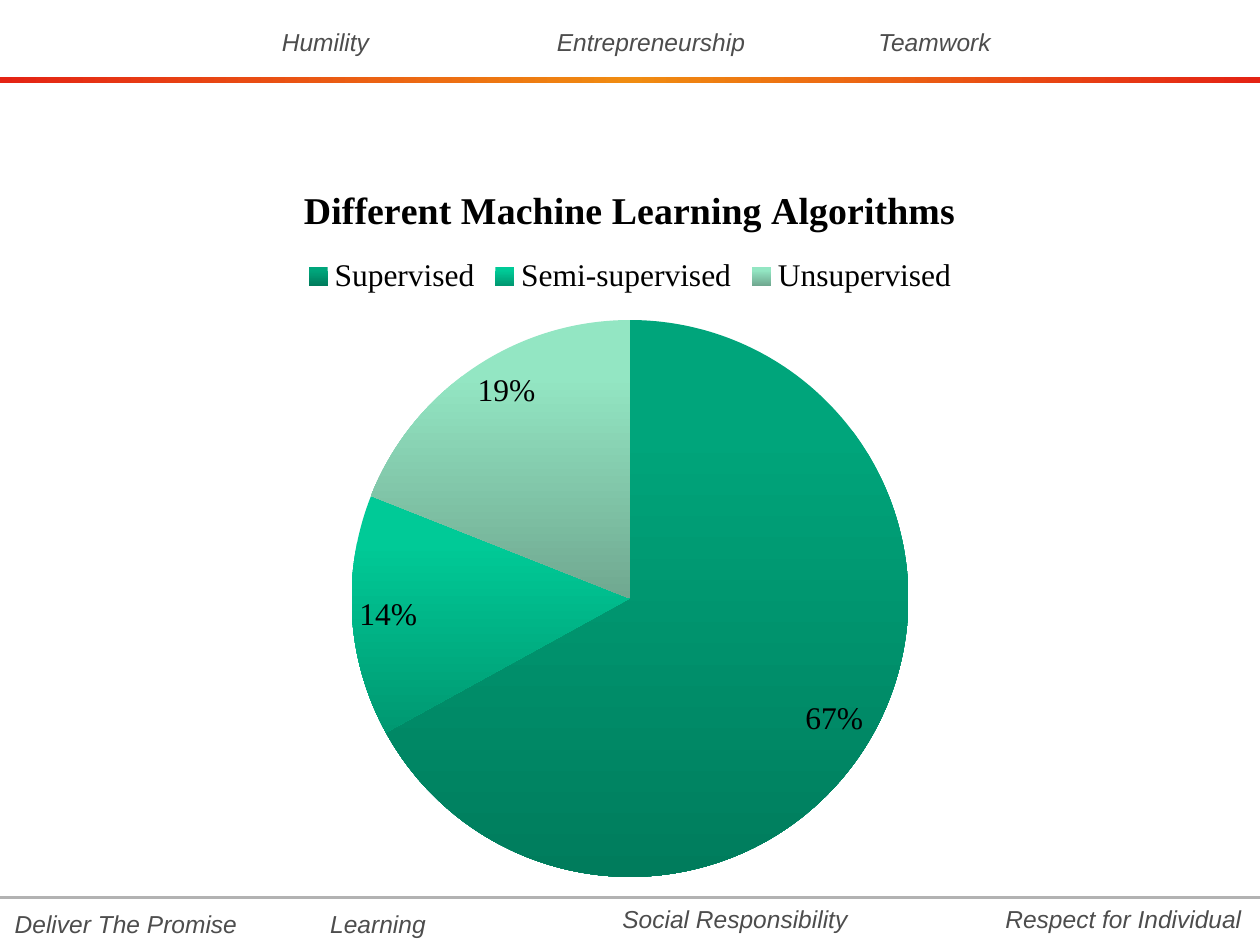
from copy import deepcopy

from lxml import etree
from pptx import Presentation
from pptx import util as u
from pptx.chart import data
from pptx.dml import color
from pptx.enum import chart as ch, shapes, text
from pptx.oxml import ns


def rgb(code):
    return color.RGBColor.from_string(code)


def shade(fill, tones, angle=0):
    fill.gradient()
    fill.gradient_angle = angle
    stops = fill.gradient_stops
    spare = fill._fill._gradFill.gsLst
    for _ in tones[2:]:
        spare.append(deepcopy(spare[-1]))
    for stop, (pos, tone) in zip(fill.gradient_stops, tones):
        stop.position = pos
        stop.color.rgb = rgb(tone)


class Deck:
    """Draws on one slide with a grid of 120 columns by 90 rows."""

    label = {"name": "Arial", "size": u.Pt(14), "italic": True}
    chart = {"name": "Times New Roman", "size": u.Pt(18), "bold": False}
    title = {"name": "Times New Roman", "size": u.Pt(21.6), "bold": True}

    def __init__(self):
        self.prs = Presentation()
        self.prs.slide_width = u.Inches(10)
        self.prs.slide_height = u.Inches(7.5)
        self.slide = self.prs.slides.add_slide(self.prs.slide_layouts[6])
        self.unit = self.prs.slide_width / 120

    def grid(self, *cells):
        return [round(cell * self.unit) for cell in cells]

    def style(self, font, values, tone):
        for key, value in values.items():
            setattr(font, key, value)
        font.color.rgb = rgb(tone)

    def word(self, words, col, row, wide):
        frame = self.slide.shapes.add_textbox(*self.grid(col, row, wide, 4)).text_frame
        frame.word_wrap = True
        frame.auto_size = text.MSO_AUTO_SIZE.SHAPE_TO_FIT_TEXT
        para = frame.paragraphs[0]
        para.alignment = text.PP_ALIGN.CENTER
        run = para.add_run()
        run.text = words
        self.style(run.font, self.label, "4D4D4D")

    def band(self, row, high, tones):
        bar = self.slide.shapes.add_shape(
            shapes.MSO_SHAPE.RECTANGLE, *self.grid(0, row, 120, high))
        bar.shadow.inherit = False
        bar.line.fill.background()
        shade(bar.fill, tones)

    def rule(self, row, tone, width):
        line = self.slide.shapes.add_connector(
            shapes.MSO_CONNECTOR.STRAIGHT, *self.grid(0, row, 120, row))
        line.line.color.rgb = rgb(tone)
        line.line.width = u.Pt(width)
        etree.SubElement(line._element.spPr, ns.qn("a:effectLst"))

    def pie(self, name, parts, box, plot):
        facts = data.ChartData()
        facts.categories = [part[0] for part in parts]
        facts.add_series(name, [part[1] for part in parts])
        pie = self.slide.shapes.add_chart(
            ch.XL_CHART_TYPE.PIE, *self.grid(*box), facts).chart
        self.style(pie.font, self.chart, "000000")
        pie.has_title = True
        pie.chart_title.include_in_layout = False
        run = pie.chart_title.text_frame.paragraphs[0].add_run()
        run.text = name
        self.style(run.font, self.title, "000000")
        pie.has_legend = True
        pie.legend.position = ch.XL_LEGEND_POSITION.TOP
        pie.legend.include_in_layout = False
        disc = pie.plots[0]
        disc.vary_by_categories = True
        disc.has_data_labels = True
        tags = disc.data_labels
        form = {"show_percentage": True, "show_value": False, "number_format": "0%",
                "number_format_is_linked": False,
                "position": ch.XL_LABEL_POSITION.INSIDE_END}
        for key, value in form.items():
            setattr(tags, key, value)
        self.style(tags.font, self.chart, "000000")
        for spot, (_, _, top, low) in enumerate(parts):
            look = disc.series[0].points[spot].format
            shade(look.fill, [(0, top), (0.2, top), (1, low)], 270)
            look.line.fill.background()
        self.place(pie, plot)

    def place(self, pie, plot):
        area = pie._chartSpace.chart.plotArea
        for old in area.findall(ns.qn("c:layout")):
            area.remove(old)
        frame = etree.Element(ns.qn("c:layout"))
        area.insert(0, frame)
        inner = etree.SubElement(frame, ns.qn("c:manualLayout"))
        marks = {"layoutTarget": "inner", "xMode": "edge", "yMode": "edge"}
        marks.update(zip("xywh", map(str, plot)))
        for key, value in marks.items():
            etree.SubElement(inner, ns.qn("c:" + key)).set("val", value)


def main():
    deck = Deck()
    for item in (("Humility", 23, 2, 16), ("Entrepreneurship", 49, 2, 26),
                 ("Teamwork", 76, 2, 26), ("Deliver The Promise", 0, 86, 24),
                 ("Learning", 28, 86, 16), ("Social Responsibility", 57, 85.5, 26),
                 ("Respect for Individual", 94, 85.5, 26)):
        deck.word(*item)
    deck.band(7.3, 0.6, [(0, "E42314"), (0.5, "F08C12"), (1, "E42314")])
    deck.rule(85.5, "B2B2B2", 2)
    deck.pie("Different Machine Learning Algorithms",
             [("Supervised", 67, "00A57B", "007C5C"),
              ("Semi-supervised", 14, "00CA97", "009871"),
              ("Unsupervised", 19, "93E6C3", "70A890")],
             (9, 15, 102, 70), (0.24, 0.22, 0.52, 0.76))
    deck.prs.save("out.pptx")


if __name__ == "__main__":
    main()
